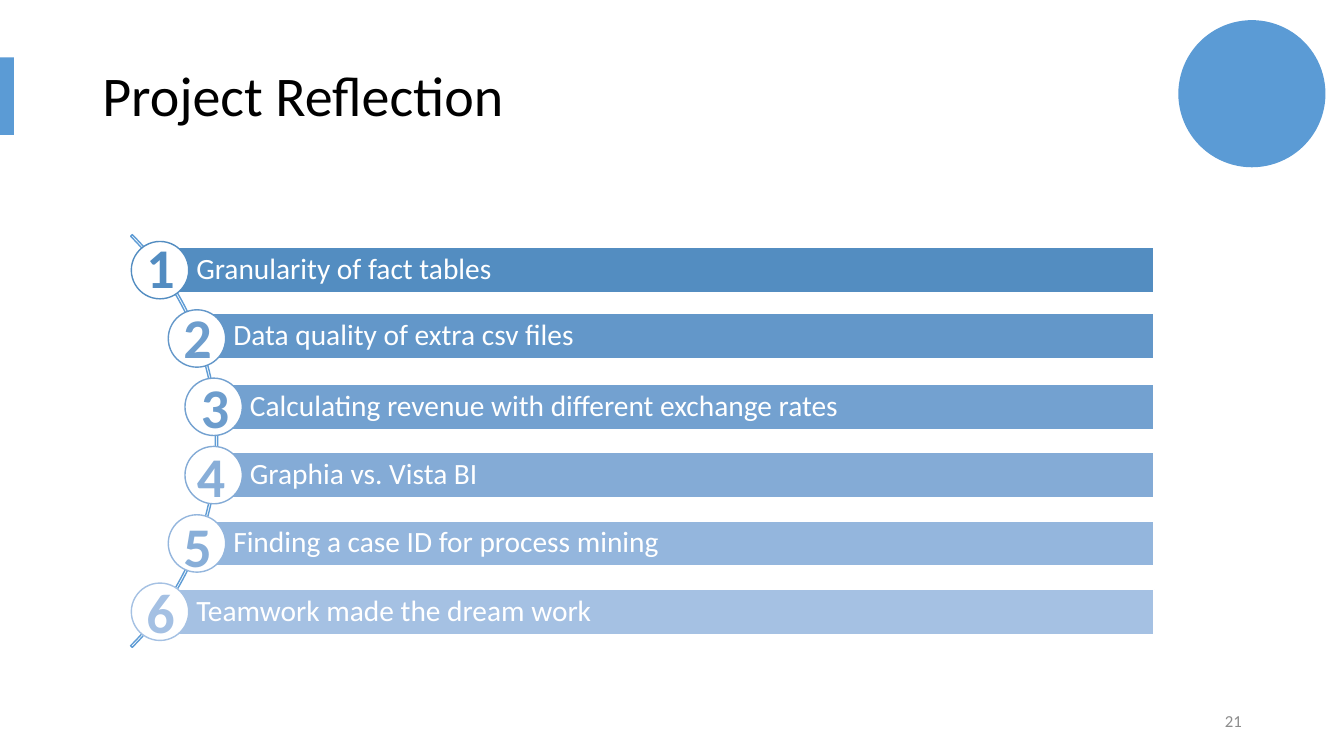
from math import sqrt

from pptx import Presentation
from pptx.dml.color import RGBColor
from pptx.enum.shapes import MSO_SHAPE as Shape
from pptx.enum.text import MSO_ANCHOR as Anchor, PP_ALIGN as Align
from pptx.util import Pt

TITLE = "Project Reflection"
PAGE_NUMBER = "21"
ACCENT = "5B9BD5"
ARC_LINE = "5F9CD5"
WHITE = "FFFFFF"

# text, bar colour, digit colour, bar shift down, digit offset from its circle
LESSONS = [
    ("Granularity of fact tables", "538DC1", "528CC1", 0, (3.6, -10)),
    ("Data quality of extra csv files", "6397C9", "6D9DCD", -1.8, (3.6, -8.6)),
    ("Calculating revenue with different exchange rates",
     "73A1D0", "6D9DCD", 0, (4.3, -7.2)),
    ("Graphia vs. Vista BI", "84ABD6", "88AED8", 0, (1.4, -7.2)),
    ("Finding a case ID for process mining", "94B6DD", "88AED8", 0, (3.6, -5.8)),
    ("Teamwork made the dream work", "A5C1E3", "A4C0E3", 0, (3.6, -7.2)),
]

ARC_X, ARC_Y, ARC_SIZE = -52.9, 315, 416.9
CURVE_RADIUS = 207
ROW_PITCH = 48.8
CIRCLE = 41
BAR_HEIGHT, BAR_RIGHT = 32.2, 824.4


def color(code):
    return RGBColor.from_string(code)


def add_shape(kind, left, top, width, height, fill=None, line=None):
    shape = page.shapes.add_shape(kind, Pt(left), Pt(top), Pt(width), Pt(height))
    shape.shadow.inherit = False
    if fill:
        shape.fill.solid()
        shape.fill.fore_color.rgb = color(fill)
    else:
        shape.fill.background()
    if line:
        shape.line.color.rgb = color(line)
        shape.line.width = Pt(1)
    else:
        shape.line.fill.background()
    return shape


def write(shape, text, size, code, bold=False, align=Align.LEFT,
          anchor=Anchor.MIDDLE, spacing=1.0):
    frame = shape.text_frame
    frame.word_wrap = True
    frame.vertical_anchor = anchor
    frame.text = text
    para = frame.paragraphs[0]
    para.alignment = align
    para.line_spacing = spacing
    font = para.runs[0].font
    font.name, font.size, font.bold = "Calibri", Pt(size), bold
    font.color.rgb = color(code)


def add_text(left, top, width, height, *content, **style):
    box = page.shapes.add_textbox(Pt(left), Pt(top), Pt(width), Pt(height))
    write(box, *content, **style)


def add_lesson(index, text, bar_color, digit_color, bar_shift, digit_offset):
    """Place one bar with its numbered circle centred on the curve."""
    offset_y = (index - (len(LESSONS) - 1) / 2) * ROW_PITCH
    center_x = ARC_X + sqrt(CURVE_RADIUS ** 2 - offset_y ** 2)
    center_y = ARC_Y + offset_y
    bar = add_shape(Shape.RECTANGLE, center_x, center_y - BAR_HEIGHT / 2 + bar_shift,
                    BAR_RIGHT - center_x, BAR_HEIGHT, bar_color, WHITE)
    frame = bar.text_frame
    frame.margin_left = Pt(25.9)
    frame.margin_right = frame.margin_top = frame.margin_bottom = Pt(4.3)
    write(bar, text, 21, WHITE, spacing=0.9)

    left, top = center_x - CIRCLE / 2, center_y - CIRCLE / 2
    add_shape(Shape.OVAL, left, top, CIRCLE, CIRCLE, WHITE, bar_color)
    shift_x, shift_y = digit_offset
    add_text(left + shift_x, top + shift_y, 29.5, 55.4, str(index + 1), 40,
             digit_color, bold=True, anchor=Anchor.TOP)


deck = Presentation()
deck.slide_width, deck.slide_height = Pt(960), Pt(540)
page = deck.slides.add_slide(deck.slide_layouts[6])

add_text(66, 20.2, 828, 100, TITLE, 40, "000000", spacing=0.9)
add_shape(Shape.RECTANGLE, 0, 41, 10, 55.4, ACCENT)
add_shape(Shape.OVAL, 841.7, 14.4, 105.1, 105.1, ACCENT)

arc = add_shape(Shape.BLOCK_ARC, ARC_X - ARC_SIZE / 2, ARC_Y - ARC_SIZE / 2,
                ARC_SIZE, ARC_SIZE, line=ARC_LINE)
for position, value in enumerate((189, 27, 0.004)):
    arc.adjustments[position] = value

for index, lesson in enumerate(LESSONS):
    add_lesson(index, *lesson)

add_text(678.2, 500.4, 216, 28.8, PAGE_NUMBER, 12, "8C8C8C", align=Align.RIGHT)

deck.save("out.pptx")
